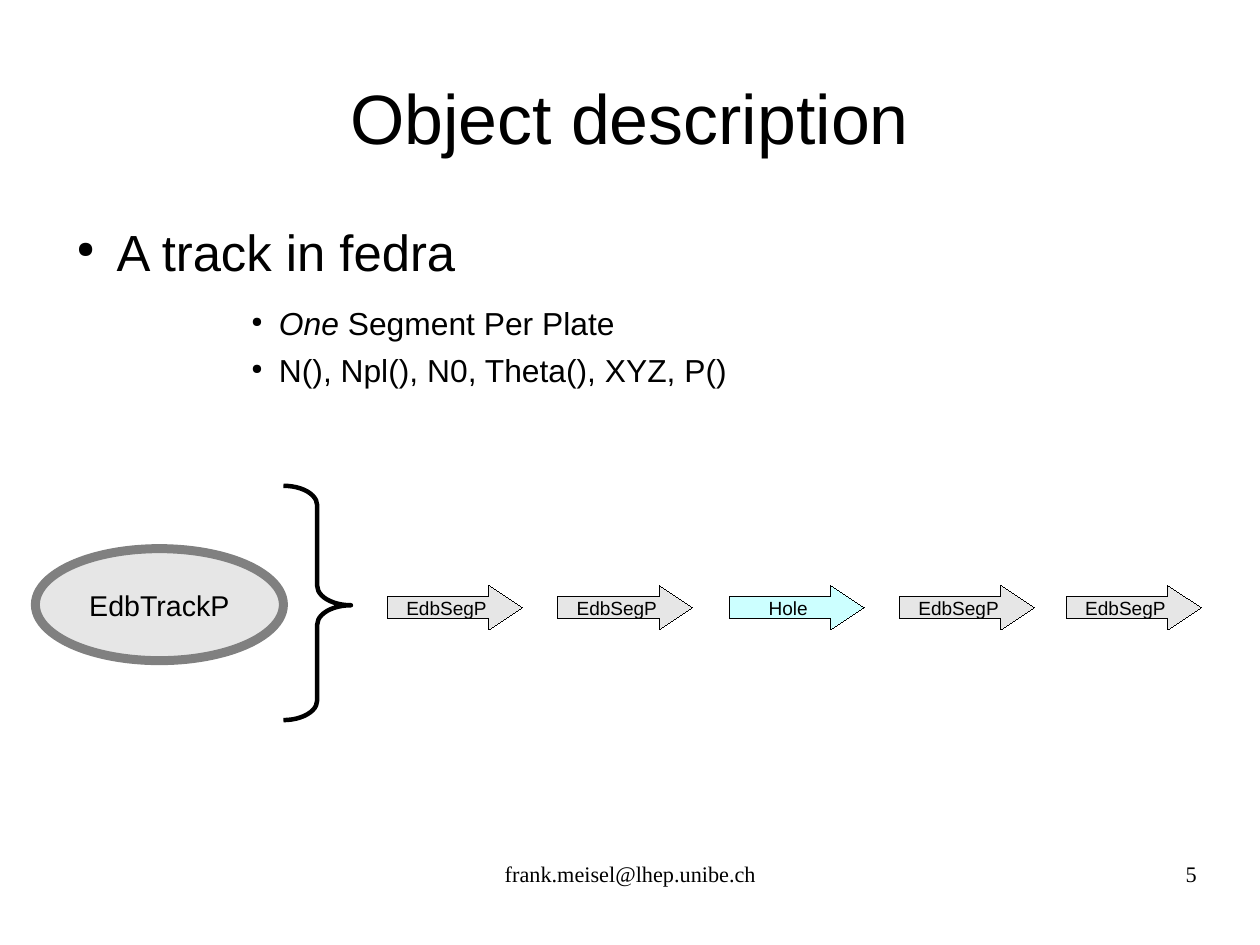
from dataclasses import dataclass

from lxml.etree import SubElement as add_sub
from pptx import Presentation
from pptx.dml.color import RGBColor
from pptx.enum.shapes import MSO_SHAPE as Kind
from pptx.enum.text import MSO_ANCHOR as Anchor, PP_ALIGN as Align
from pptx.oxml.ns import qn
from pptx.util import Inches, Pt

SANS = "Arial"
SERIF = "Times New Roman"
BLACK = "000000"
PALE = "E6E6E6"


@dataclass
class Box:
    left: float
    top: float
    width: float
    height: float

    def place(self) -> tuple:
        return tuple(map(Inches, (self.left, self.top, self.width, self.height)))


@dataclass
class Label:
    box: Box
    text: str
    size: int
    font: str
    align: Align
    anchor: Anchor = Anchor.TOP


@dataclass
class Node:
    kind: Kind
    box: Box
    line: str
    weight: float
    fill: str = ""
    text: str = ""
    size: int = 12
    inset: tuple = (0.1, 0.05)
    adjust: tuple = ()


@dataclass
class Point:
    runs: tuple
    size: int
    margin: float
    indent: float
    after: float
    level: int = 0


def color(code: str) -> RGBColor:
    return RGBColor.from_string(code)


def set_font(para, size: int, name: str = SANS) -> None:
    para.font.size = Pt(size)
    para.font.name = name
    para.font.color.rgb = color(BLACK)


def set_frame(frame, inset: tuple, anchor: Anchor) -> None:
    frame.word_wrap = True
    frame.vertical_anchor = anchor
    frame.margin_left = frame.margin_right = Inches(inset[0])
    frame.margin_top = frame.margin_bottom = Inches(inset[1])


def add_frame(slide, box: Box, anchor: Anchor = Anchor.TOP):
    frame = slide.shapes.add_textbox(*box.place()).text_frame
    set_frame(frame, (0, 0), anchor)
    return frame


def add_label(slide, label: Label) -> None:
    para = add_frame(slide, label.box, label.anchor).paragraphs[0]
    para.text = label.text
    para.alignment = label.align
    set_font(para, label.size, label.font)


def add_node(slide, node: Node) -> None:
    shape = slide.shapes.add_shape(node.kind, *node.box.place())
    shape.shadow.inherit = False
    for index, value in enumerate(node.adjust):
        shape.adjustments[index] = value
    if node.fill:
        shape.fill.solid()
        shape.fill.fore_color.rgb = color(node.fill)
    else:
        shape.fill.background()
    shape.line.color.rgb = color(node.line)
    shape._element.spPr.find(qn("a:ln")).set("w", str(Pt(node.weight)))
    if node.text:
        set_frame(shape.text_frame, node.inset, Anchor.MIDDLE)
        para = shape.text_frame.paragraphs[0]
        para.text = node.text
        para.alignment = Align.CENTER
        set_font(para, node.size)


def add_point(para, point: Point) -> None:
    for text, slant in point.runs:
        run = para.add_run()
        run.text = text
        run.font.italic = slant
    set_font(para, point.size)
    para.level = point.level
    para.space_after = Pt(point.after)
    props = para._p.get_or_add_pPr()
    props.set("marL", str(Inches(point.margin)))
    props.set("indent", str(Inches(point.indent)))
    tint = add_sub(props, qn("a:buClr"))
    add_sub(tint, qn("a:srgbClr"), val=BLACK)
    add_sub(props, qn("a:buSzPct"), val="45000")
    add_sub(props, qn("a:buChar"), char="●")
    props.append(props.find(qn("a:defRPr")))


LABELS = [
    Label(Box(0.55, 0.33, 9.92, 1.38), "Object description", 44, SANS,
          Align.CENTER, Anchor.MIDDLE),
    Label(Box(3.77, 7.53, 3.49, 0.57), "frank.meisel@lhep.unibe.ch", 14, SERIF,
          Align.CENTER),
    Label(Box(7.9, 7.53, 2.57, 0.57), "5", 14, SERIF, Align.RIGHT),
]

POINTS = [
    Point((("A track in fedra", False),), 32, 0.47, -0.35, 14.2),
    Point((("One", True), (" Segment Per Plate", False)), 20, 1.89, -0.24, 5.7, 2),
    Point((("N(), Npl(), N0, Theta(), XYZ, P()", False),), 20, 1.89, -0.24, 5.7, 2),
]

STEPS = [
    (3.39, "EdbSegP", PALE),
    (4.88, "EdbSegP", PALE),
    (6.38, "Hole", "CCFFFF"),
    (7.87, "EdbSegP", PALE),
    (9.33, "EdbSegP", PALE),
]

NODES = [
    Node(Kind.RIGHT_ARROW, Box(left, 5.12, 1.18, 0.39), BLACK, 0, fill, text,
         adjust=(0.5, 0.75))
    for left, text, fill in STEPS
] + [
    Node(Kind.RIGHT_BRACE, Box(2.48, 4.25, 0.59, 2.05), BLACK, 2.83,
         adjust=(0.29, 0.51)),
    Node(Kind.OVAL, Box(0.31, 4.8, 2.17, 0.98), "808080", 5.67, PALE,
         "EdbTrackP", 18, (0.14, 0.09)),
]


def main() -> None:
    deck = Presentation()
    deck.slide_width = Inches(28 / 2.54)
    deck.slide_height = Inches(21 / 2.54)
    slide = deck.slides.add_slide(deck.slide_layouts[6])
    for label in LABELS:
        add_label(slide, label)
    body = add_frame(slide, Box(0.55, 1.93, 9.92, 5.46))
    for index, point in enumerate(POINTS):
        add_point(body.add_paragraph() if index else body.paragraphs[0], point)
    for node in NODES:
        add_node(slide, node)
    deck.save("out.pptx")


if __name__ == "__main__":
    main()
